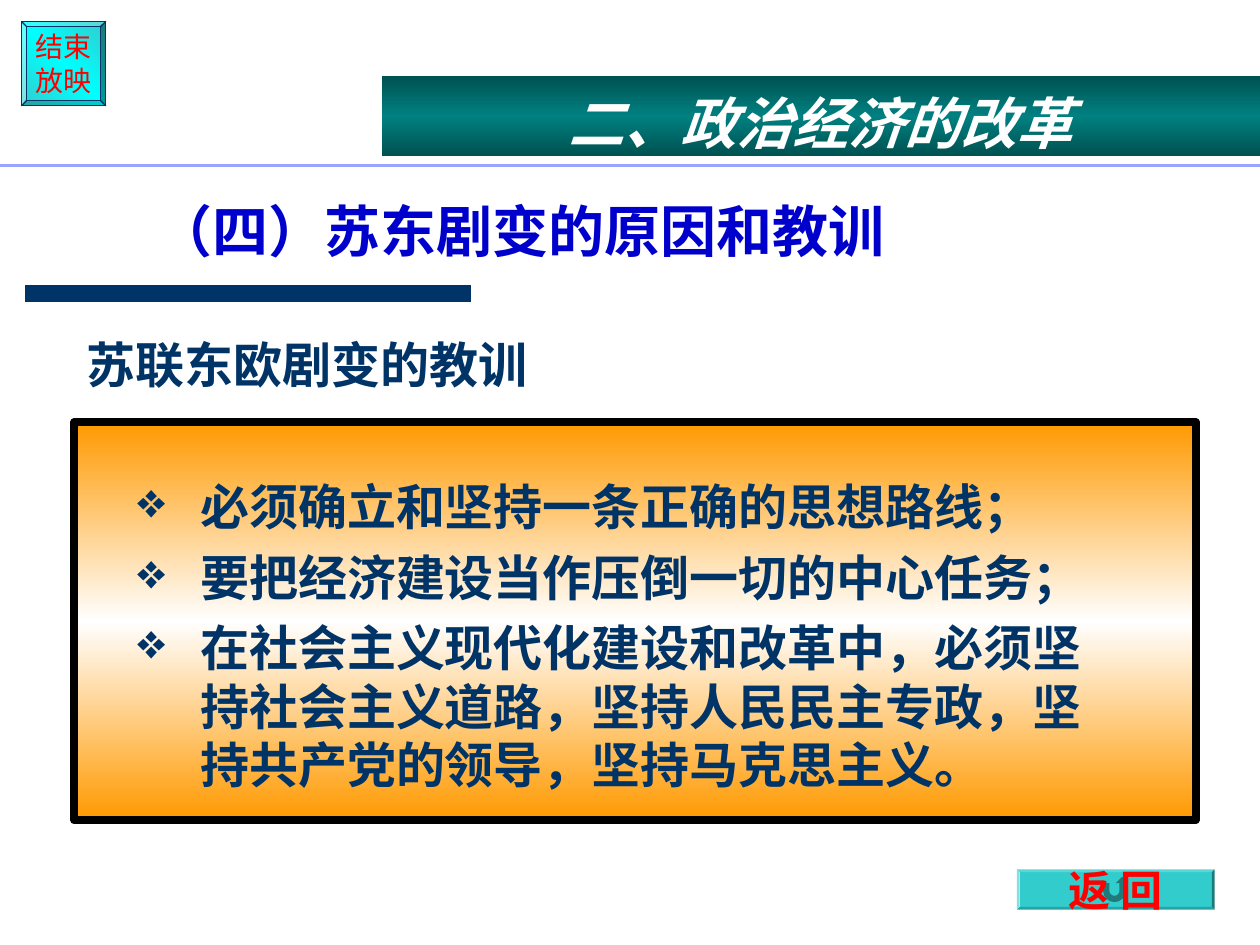
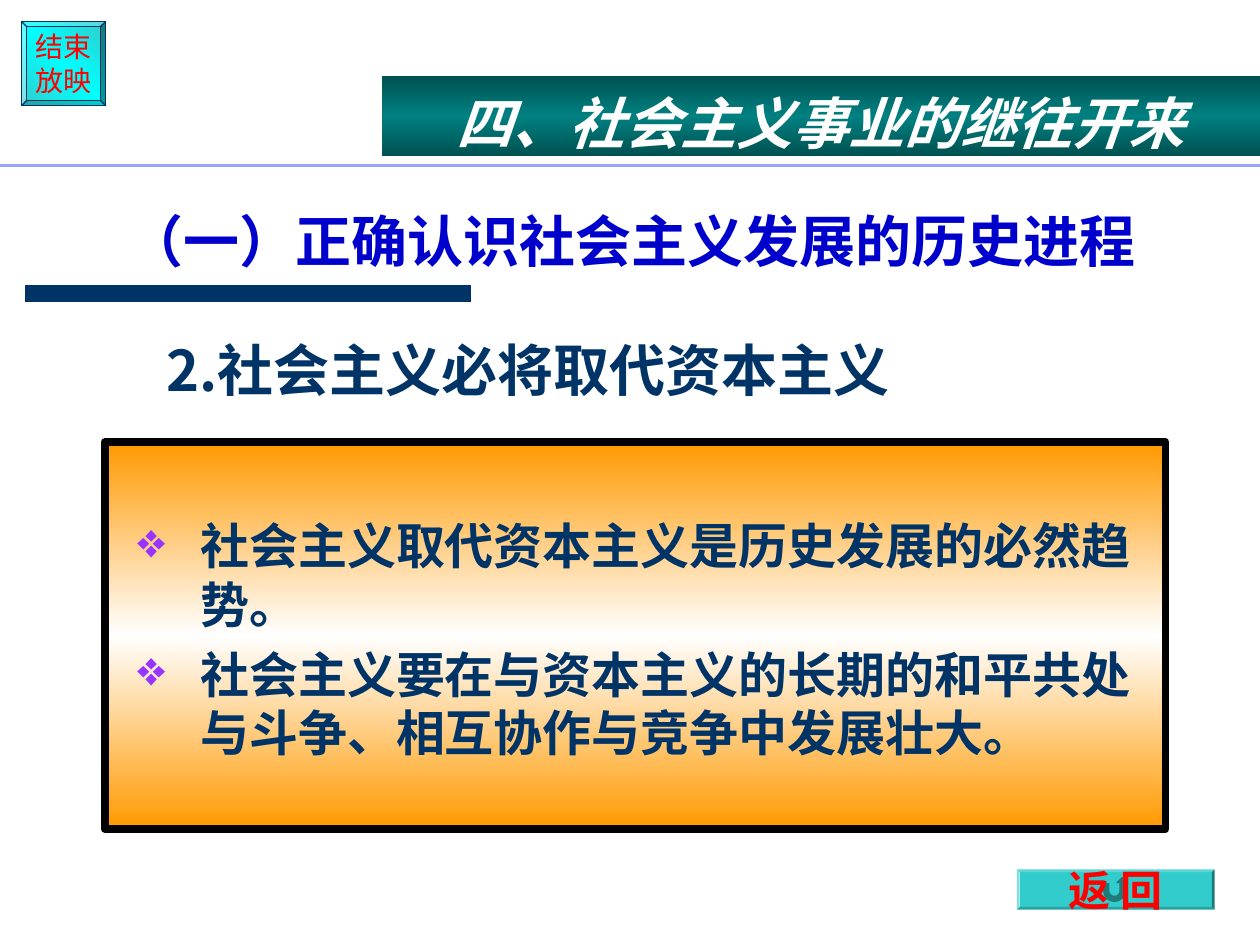
"""Build two slides on the lessons and the future of socialism."""
from copy import deepcopy
from math import cos, pi, sin

from lxml.etree import SubElement
from pptx import Presentation
from pptx.dml.color import RGBColor
from pptx.enum.shapes import MSO_CONNECTOR, MSO_SHAPE
from pptx.enum.text import MSO_ANCHOR, MSO_AUTO_SIZE, PP_ALIGN
from pptx.oxml.ns import qn
from pptx.util import Inches, Pt

SLIDES = [
    {
        "banner": "二、政治经济的改革",
        "title": "（四）苏东剧变的原因和教训",
        "title_box": (1.14, 1.0, 8.51, 1.09),
        "subtitle": "苏联东欧剧变的教训",
        "subtitle_box": (0.59, 2.61, 6.42, 0.57),
        "subtitle_font": ("Arial", 28),
        "points": [
            "必须确立和坚持一条正确的思想路线；",
            "要把经济建设当作压倒一切的中心任务；",
            "在社会主义现代化建设和改革中，必须坚持社会主义道路，坚持人民民主专政，"
            "坚持共产党的领导，坚持马克思主义。",
        ],
        "panel_box": (0.59, 3.35, 8.9, 3.16),
        "panel_insets": (0.5, 0.44, 0.79, 0.05),
        "bullet": "navy",
    },
    {
        "banner": "四、社会主义事业的继往开来",
        "title": "（一）正确认识社会主义发展的历史进程",
        "title_box": (0.91, 1.08, 8.51, 1.09),
        "subtitle": "2.社会主义必将取代资本主义",
        "subtitle_box": (1.22, 2.62, 6.54, 0.94),
        "subtitle_font": ("Noto Sans CJK SC", 32),
        "points": [
            "社会主义取代资本主义是历史发展的必然趋势。",
            "社会主义要在与资本主义的长期的和平共处与斗争、相互协作与竞争中发展壮大。",
        ],
        "panel_box": (0.83, 3.51, 8.42, 3.07),
        "panel_insets": (0.26, 0.59, 0.1, 0.05),
        "bullet": "violet",
    },
]
END_LABEL = ["结束", "放映"]
RETURN_LABEL = ["返 回"]

COLOURS = {
    "navy": "003366", "blue": "0000CC", "violet": "9933FF", "red": "FF0000",
    "white": "FFFFFF", "black": "000000", "orange": "FF9900", "rule": "9BA4FD",
    "teal": "008080", "dark_teal": "005151", "cyan": "00FFFF",
    "button": "33CCCC", "arrow": "1F7A7A",
}
WIDTH, HEIGHT = 10, 7.5
CJK = "Noto Sans CJK SC"
LINE_RATIO = 1.19
INSETS = (0.1, 0.05, 0.1, 0.05)
BANNER_BOX = (3.03, 0.6, WIDTH - 3.03, 0.64)
END_BOX = (0.17, 0.17, 0.67, 0.67)
RETURN_BOX = (8.07, 6.9, 1.57, 0.32)


def colour(name):
    return RGBColor.from_string(COLOURS[name])


def inches(values):
    return [Inches(value) for value in values]


def write(shape, lines, size, ink, font="Arial", bold=True, italic=False,
          align=PP_ALIGN.LEFT, anchor=MSO_ANCHOR.TOP, insets=INSETS,
          wrap=True, bullet=None):
    frame = shape.text_frame
    frame.text = "\n".join(lines)
    frame.auto_size = MSO_AUTO_SIZE.NONE
    frame.word_wrap = wrap
    frame.vertical_anchor = anchor
    (frame.margin_left, frame.margin_top,
     frame.margin_right, frame.margin_bottom) = inches(insets)
    for index, para in enumerate(frame.paragraphs):
        if bullet:
            add_bullet(para, bullet)
        para.alignment = align
        para.line_spacing = Pt(round(size * LINE_RATIO, 1))
        para.space_before = Pt(7 if bullet and index else 0)
        for span in para.runs:
            span.font.name = font
            span.font.size = Pt(size)
            span.font.bold = bold
            span.font.italic = italic
            span.font.color.rgb = colour(ink)
            SubElement(span.font._element, qn("a:ea"), typeface=CJK)


def add_bullet(para, ink):
    properties = para._p.get_or_add_pPr()
    properties.set("marL", str(Inches(0.5)))
    properties.set("indent", str(-Inches(0.5)))
    tint = SubElement(properties, qn("a:buClr"))
    SubElement(tint, qn("a:srgbClr"), val=COLOURS[ink])
    SubElement(properties, qn("a:buChar"), char="❖")


def fill_gradient(shape, edge, middle, angle=90):
    shape.fill.gradient()
    shape.fill.gradient_angle = angle
    stops = shape._element.spPr.find(".//" + qn("a:gsLst"))
    stops.insert(1, deepcopy(stops[0]))
    for stop, position, name in zip(shape.fill.gradient_stops, (0, 0.5, 1), (edge, middle, edge)):
        stop.position = position
        stop.color.rgb = colour(name)


def add_block(page, kind, box, line=None, weight=0):
    shape = page.shapes.add_shape(kind, *inches(box))
    shape.shadow.inherit = False
    if line:
        shape.line.color.rgb = colour(line)
        shape.line.width = Pt(weight)
    else:
        shape.line.fill.background()
    return shape


def add_rule(page, left, right, top, ink, weight):
    rule = page.shapes.add_connector(MSO_CONNECTOR.STRAIGHT, *inches((left, top, right, top)))
    rule.line.color.rgb = colour(ink)
    rule.line.width = Pt(weight)
    SubElement(rule._element.spPr, qn("a:effectLst"))


def half_turn(centre, level, radius, clockwise):
    angles = [step * pi / 8 for step in range(9)]
    if not clockwise:
        angles.reverse()
    return [(centre + radius * cos(angle), level + radius * sin(angle)) for angle in angles]


def add_end_button(page):
    button = add_block(page, MSO_SHAPE.BEVEL, END_BOX, "navy", 0.75)
    button.adjustments[0] = 0.0625
    fill_gradient(button, "button", "cyan", 45)
    write(button, END_LABEL, 16, "red", bold=False, align=PP_ALIGN.CENTER,
          anchor=MSO_ANCHOR.MIDDLE, insets=(0, 0, 0, 0), wrap=False)


def add_return_button(page):
    button = add_block(page, MSO_SHAPE.BEVEL, RETURN_BOX)
    button.adjustments[0] = 0.07
    button.fill.solid()
    button.fill.fore_color.rgb = colour("button")

    left, top, width, height = RETURN_BOX
    centre, middle = left + width / 2, top + height / 2
    head, shoulder = middle - 0.1, middle - 0.05
    outline = (half_turn(centre - 0.01, middle + 0.01, 0.09, True)
               + [(centre - 0.1, shoulder), (centre - 0.05, shoulder)]
               + half_turn(centre - 0.01, middle + 0.01, 0.04, False)
               + [(centre + 0.03, shoulder), (centre, shoulder), (centre + 0.05, head),
                  (centre + 0.1, shoulder), (centre + 0.08, shoulder)])
    points = [tuple(inches(point)) for point in outline]
    builder = page.shapes.build_freeform(*points[0])
    builder.add_line_segments(points[1:], close=True)
    arrow = builder.convert_to_shape()
    arrow.shadow.inherit = False
    arrow.fill.solid()
    arrow.fill.fore_color.rgb = colour("arrow")
    arrow.line.fill.background()
    write(arrow, RETURN_LABEL, 24, "red", align=PP_ALIGN.CENTER,
          anchor=MSO_ANCHOR.MIDDLE, insets=(0, 0, 0, 0), wrap=False)


def add_slide(deck, content):
    page = deck.slides.add_slide(deck.slide_layouts[5])
    title = page.shapes.title
    title.left, title.top, title.width, title.height = inches(content["title_box"])
    write(title, [content["title"]], 32, "blue", CJK,
          anchor=MSO_ANCHOR.BOTTOM, insets=(0.1, 0.05, 0.1, 0))

    add_rule(page, 0.2, 3.74, 2.33, "navy", 10)
    add_end_button(page)

    subtitle = page.shapes.add_textbox(*inches(content["subtitle_box"]))
    font, size = content["subtitle_font"]
    write(subtitle, [content["subtitle"]], size, "navy", font)

    panel = add_block(page, MSO_SHAPE.RECTANGLE, content["panel_box"], "black", 4.5)
    fill_gradient(panel, "orange", "white")
    write(panel, content["points"], 28, "navy",
          insets=content["panel_insets"], bullet=content["bullet"])

    add_return_button(page)
    banner = add_block(page, MSO_SHAPE.RECTANGLE, BANNER_BOX)
    fill_gradient(banner, "dark_teal", "teal")
    write(banner, [content["banner"]], 32, "white", CJK, italic=True,
          align=PP_ALIGN.CENTER, insets=(0.1, 0.11, 0.1, 0))
    add_rule(page, 0, WIDTH, 1.31, "rule", 1.75)


def main():
    deck = Presentation()
    deck.slide_width, deck.slide_height = inches((WIDTH, HEIGHT))
    for content in SLIDES:
        add_slide(deck, content)
    deck.save("out.pptx")


if __name__ == "__main__":
    main()
